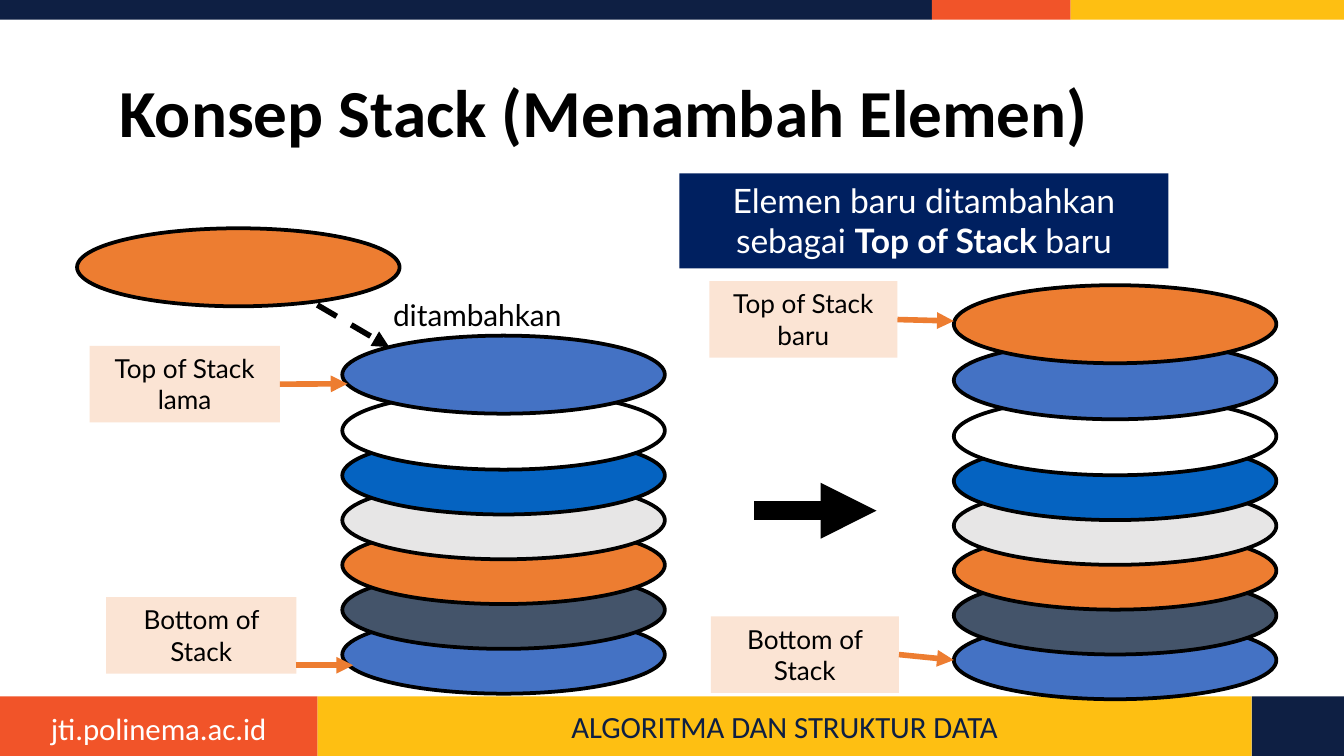
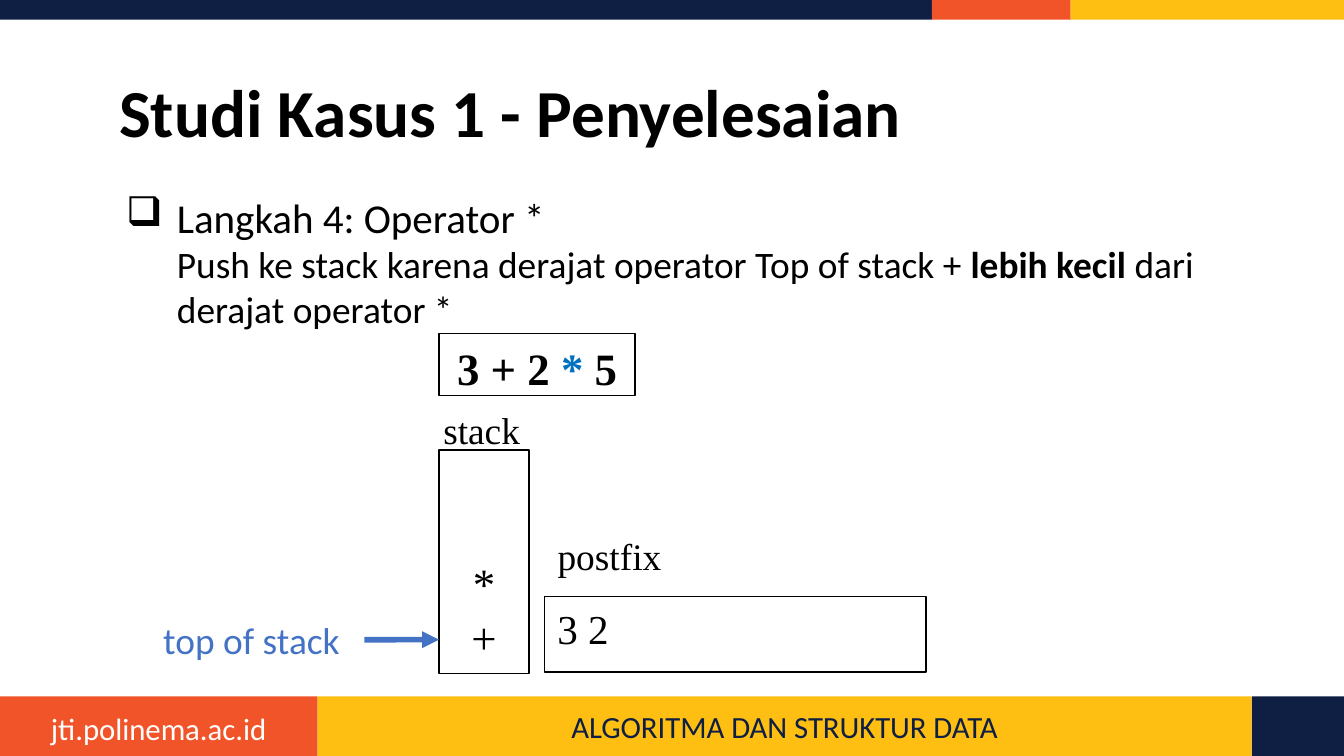
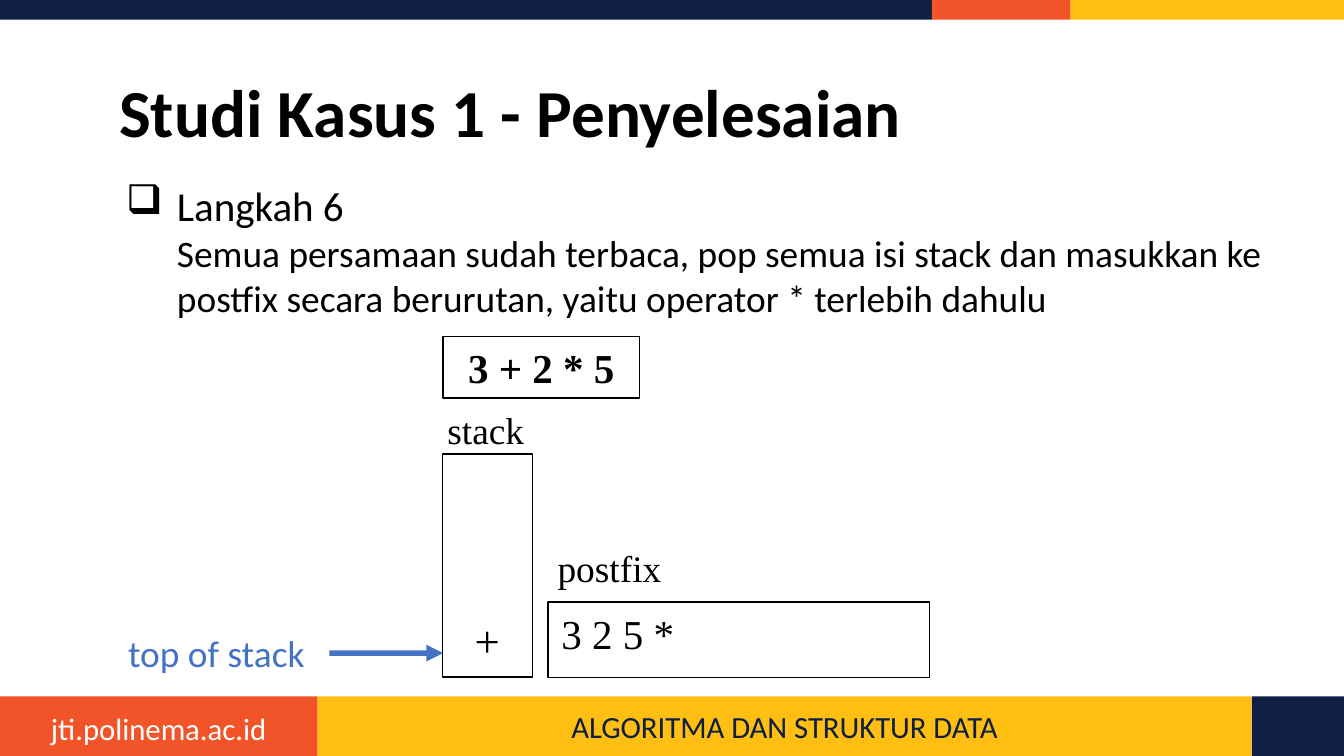
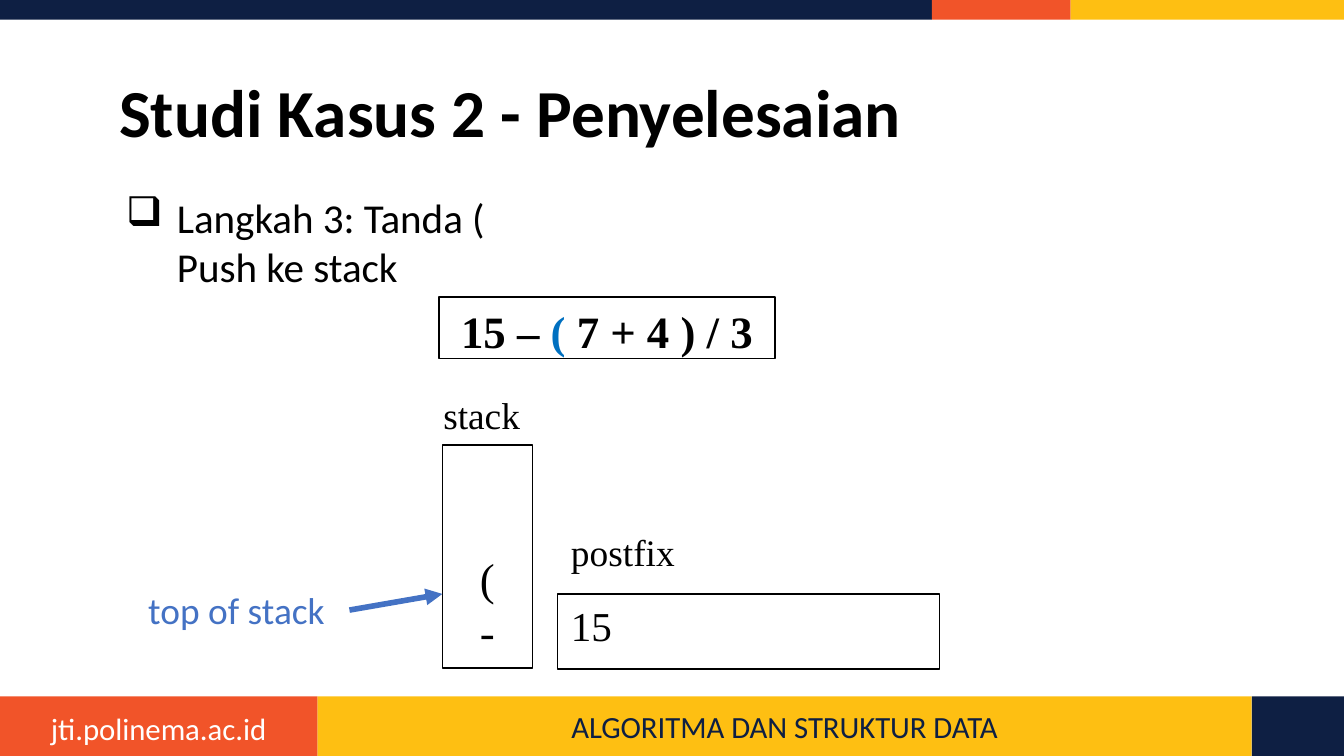
from lxml.etree import SubElement
from pptx import Presentation
from pptx.dml.color import RGBColor
from pptx.enum.dml import MSO_LINE
from pptx.enum.shapes import MSO_CONNECTOR, MSO_SHAPE
from pptx.enum.text import MSO_ANCHOR, MSO_AUTO_SIZE, PP_ALIGN
from pptx.oxml.ns import qn
from pptx.util import Pt

COLORS = {
    "navy": "0E1F43", "red": "F15429", "yellow": "FEBF12",
    "black": "000000", "white": "FFFFFF", "blue": "4472C4",
    "slate": "44546A", "orange": "ED7D31", "gray": "E7E6E6",
    "deep_blue": "0563C1", "peach": "FBE4D4", "banner": "002060",
    "highlight": "0070C0",
}
BODY_FONT, LABEL_FONT, CODE_FONT = "Calibri", "Lato", "Times New Roman"
DISK_W, DISK_H = 172.8, 41.8
DISKS = ["blue", "slate", "orange", "gray", "deep_blue", "white", "blue"]


def rgb(name):
    return RGBColor.from_string(COLORS[name])


def style_run(r, size, font, color="black", bold=False):
    r.font.size, r.font.name, r.font.bold = Pt(size), font, bold
    r.font.color.rgb = rgb(color)


def add_runs(p, runs, size, font, bold=False):
    """Each run is a text and a dict of its own styles; None is a line break."""
    for run in runs:
        if run is None:
            p.add_line_break()
            continue
        text, own = run
        r = p.add_run()
        r.text = text
        style_run(r, **{"size": size, "font": font, "bold": bold, **own})


def set_frame(tf, anchor=MSO_ANCHOR.TOP, inset=3.6):
    tf.word_wrap = True
    tf.auto_size = MSO_AUTO_SIZE.NONE
    tf.vertical_anchor = anchor
    tf.margin_left = tf.margin_right = Pt(7.2)
    tf.margin_top = tf.margin_bottom = Pt(inset)


def write(tf, text, size, font, color="black", bold=False, align=PP_ALIGN.LEFT):
    tf.text = text
    for p in tf.paragraphs:
        p.alignment = align
        for r in p.runs:
            style_run(r, size, font, color, bold)


def add_box(s, box, fill, line=None, width=0.75, kind=MSO_SHAPE.RECTANGLE):
    sp = s.shapes.add_shape(kind, *map(Pt, box))
    sp.shadow.inherit = False
    sp.fill.solid()
    sp.fill.fore_color.rgb = rgb(fill)
    if line:
        sp.line.color.rgb = rgb(line)
        sp.line.width = Pt(width)
    else:
        sp.line.fill.background()
    set_frame(sp.text_frame)
    return sp


def add_text(s, box, text, size, font, color="black", align=PP_ALIGN.LEFT):
    sp = s.shapes.add_textbox(*map(Pt, box))
    set_frame(sp.text_frame)
    write(sp.text_frame, text, size, font, color, align=align)
    return sp


def add_arrow(s, start, end, color, width=3, dash=None):
    """Start is a point, or a box whose right side the arrow leaves."""
    joined = not isinstance(start, tuple)
    begin = (0, 0) if joined else start
    cx = s.shapes.add_connector(MSO_CONNECTOR.STRAIGHT, *map(Pt, begin + end))
    if joined:
        cx.begin_connect(start, 3)
    cx.line.color.rgb = rgb(color)
    cx.line.width = Pt(width)
    if dash:
        cx.line.dash_style = dash
    SubElement(cx.line._get_or_add_ln(), qn("a:tailEnd"), type="triangle")
    SubElement(cx._element.spPr, qn("a:effectLst"))
    return cx


def add_bands(s):
    # Top stripe
    for left, width, color in [(0, 499.2, "navy"), (499.2, 74.4, "red"),
                               (573.6, 146.4, "yellow")]:
        add_box(s, (left, 0, width, 10.6), color)
    # Footer
    footer = [add_box(s, (left, 373, width, 32), color)
              for left, width, color in [(170, 500.6, "yellow"), (0, 170, "red"),
                                         (670.6, 49.4, "navy")]]
    tf = footer[0].text_frame
    tf.vertical_anchor = MSO_ANCHOR.MIDDLE
    write(tf, "ALGORITMA DAN STRUKTUR DATA", 16.5, BODY_FONT, "navy",
          align=PP_ALIGN.CENTER)
    add_text(s, (0, 376.6, 170, 27.4), "jti.polinema.ac.id", 16.5, BODY_FONT,
             "white", PP_ALIGN.CENTER)


def add_slide(prs, title):
    s = prs.slides.add_slide(prs.slide_layouts[5])
    add_bands(s)
    sp = s.shapes.title
    sp.left, sp.top, sp.width, sp.height = map(Pt, (56.7, 35.3, 607, 45.4))
    set_frame(sp.text_frame, inset=7.2)
    write(sp.text_frame, title, 36, BODY_FONT, bold=True)
    sp.text_frame.paragraphs[0].line_spacing = 0.9
    return s


def add_disk(s, left, top, color):
    add_box(s, (left, top, DISK_W, DISK_H), color, "black", 2, MSO_SHAPE.OVAL)


def add_disks(s, left, bottom_top, colors):
    # The upper disks are spaced a little wider than the lower six
    for i, color in enumerate(colors):
        add_disk(s, left, bottom_top - 24 * i - 6 * max(0, i - 5), color)


def add_label(s, left, top, width, text):
    sp = add_box(s, (left, top, width, 41), "peach")
    write(sp.text_frame, text, 14, LABEL_FONT, align=PP_ALIGN.CENTER)
    return sp


def add_step(s, top, width, runs):
    sp = s.shapes.add_textbox(Pt(56.7), Pt(top), Pt(width), Pt(266.4))
    set_frame(sp.text_frame, inset=7.2)
    p = sp.text_frame.paragraphs[0]
    pPr = p._p.get_or_add_pPr()
    pPr.set("marL", str(Pt(31)))
    pPr.set("indent", str(-Pt(27.2)))
    SubElement(SubElement(pPr, qn("a:buClr")), qn("a:srgbClr"), val=COLORS["black"])
    SubElement(pPr, qn("a:buChar"), char="❑")
    add_runs(p, runs, 22, BODY_FONT)


def add_expression(s, left, top, width, runs, size=24):
    sp = add_box(s, (left, top, width, 33.1), "white", "black")
    p = sp.text_frame.paragraphs[0]
    p.alignment = PP_ALIGN.CENTER
    add_runs(p, runs, size, CODE_FONT, bold=True)


def add_stack(s, at, label_at, items):
    sp = add_box(s, at + (48.2, 119.5), "white", "black")
    sp.text_frame.vertical_anchor = MSO_ANCHOR.BOTTOM
    sp.text_frame.margin_bottom = Pt(5.5)
    write(sp.text_frame, "\n".join(items), 24, CODE_FONT, align=PP_ALIGN.CENTER)
    add_text(s, label_at + (60.5, 27.4), "stack", 20, CODE_FONT)


def add_postfix(s, at, label_at, text):
    sp = add_box(s, at + (204.5, 40.3), "white", "black")
    write(sp.text_frame, text, 22, CODE_FONT)
    add_text(s, label_at + (82, 27.4), "postfix", 20, CODE_FONT)


def add_top_pointer(s, at, tip):
    sp = add_text(s, at + (121, 31.7), "top of stack", 20, BODY_FONT, "blue",
                  PP_ALIGN.CENTER)
    add_arrow(s, sp, tip, "blue")


def build_concept(prs):
    s = add_slide(prs, "Konsep Stack (Menambah Elemen)")
    # Stack before the push
    add_disks(s, 183.4, 329.8, DISKS)
    add_disk(s, 41.3, 122.3, "orange")
    add_label(s, 56.9, 319.9, 101.9, "Bottom of Stack")
    old_top = add_label(s, 48, 185.3, 101.9, "Top of Stack lama")
    add_arrow(s, old_top, (186.2, 205.6), "orange")
    add_arrow(s, (158.4, 356.4), (189.2, 356.4), "orange")
    add_arrow(s, (170, 163.4), (208.6, 186), "black", dash=MSO_LINE.DASH)
    add_text(s, (203.5, 155.5, 115.2, 26.6), "ditambahkan", 16, LABEL_FONT)
    # Banner
    sp = add_box(s, (364, 92.9, 261.9, 50.9), "banner")
    p = sp.text_frame.paragraphs[0]
    p.alignment = PP_ALIGN.CENTER
    white = {"color": "white"}
    add_runs(p, [("Elemen baru ditambahkan sebagai ", white),
                 ("Top of Stack ", {"color": "white", "bold": True}),
                 ("baru", white)], 18, LABEL_FONT)
    # Stack after the push
    add_disks(s, 511, 332.8, DISKS + ["orange"])
    new_top = add_label(s, 380, 150.7, 100.8, "Top of Stack baru")
    bottom = add_label(s, 380.8, 330.2, 100.8, "Bottom of Stack")
    add_arrow(s, bottom, (511, 353.6), "orange")
    add_arrow(s, new_top, (511, 172), "orange")
    add_arrow(s, (404, 273.6), (469.6, 273.6), "black", 10)


def build_operator_step(prs):
    s = add_slide(prs, "Studi Kasus 1 - Penyelesaian")
    add_step(s, 95.8, 607, [
        ("Langkah 4: Operator *", {}), None,
        ("Push ke stack karena derajat operator Top of stack + ", {"size": 20}),
        ("lebih kecil", {"size": 20, "bold": True}),
        (" dari derajat operator *", {"size": 20})])
    add_stack(s, (235.2, 241.2), (230.4, 214.6), ["*", "+"])
    add_expression(s, 235.2, 178.8, 105.1, [
        ("3 + 2 ", {}), ("*", {"color": "highlight"}), (" 5", {})])
    add_postfix(s, (291.6, 319.7), (291.6, 282.2), "3 2")
    add_top_pointer(s, (74.2, 326.9), (235.2, 342.7))


def build_final_step(prs):
    s = add_slide(prs, "Studi Kasus 1 - Penyelesaian")
    add_step(s, 89.6, 634.3, [
        ("Langkah 6", {}), None,
        ("Semua persamaan sudah terbaca, pop semua isi stack dan masukkan ke "
         "postfix secara berurutan, yaitu operator * terlebih dahulu",
         {"size": 20})])
    add_stack(s, (237, 243.2), (232.6, 214.6), ["+"])
    add_expression(s, 237.4, 180.2, 105.1, [("3 + 2 * 5", {})], 22)
    add_postfix(s, (293.6, 322.6), (291.6, 288.7), "3 2 5 *")
    add_top_pointer(s, (55.4, 334.1), (237.4, 349.9))


def build_bracket_step(prs):
    s = add_slide(prs, "Studi Kasus 2 - Penyelesaian")
    add_step(s, 95.8, 607, [
        ("Langkah 3: Tanda (", {}), None, ("Push ke stack", {})])
    add_stack(s, (237, 238.4), (230.4, 206.6), ["(", "-"])
    add_expression(s, 235.2, 159.1, 180, [
        ("15 – ", {}), ("(", {"color": "highlight"}), (" 7 + 4 ) / 3", {})])
    add_postfix(s, (298.8, 318.2), (298.8, 280.1), "15")
    add_top_pointer(s, (66.2, 311), (237, 318.2))


def main():
    prs = Presentation()
    prs.slide_width, prs.slide_height = Pt(720), Pt(405)
    build_concept(prs)
    build_operator_step(prs)
    build_final_step(prs)
    build_bracket_step(prs)
    prs.save("out.pptx")


if __name__ == "__main__":
    main()
